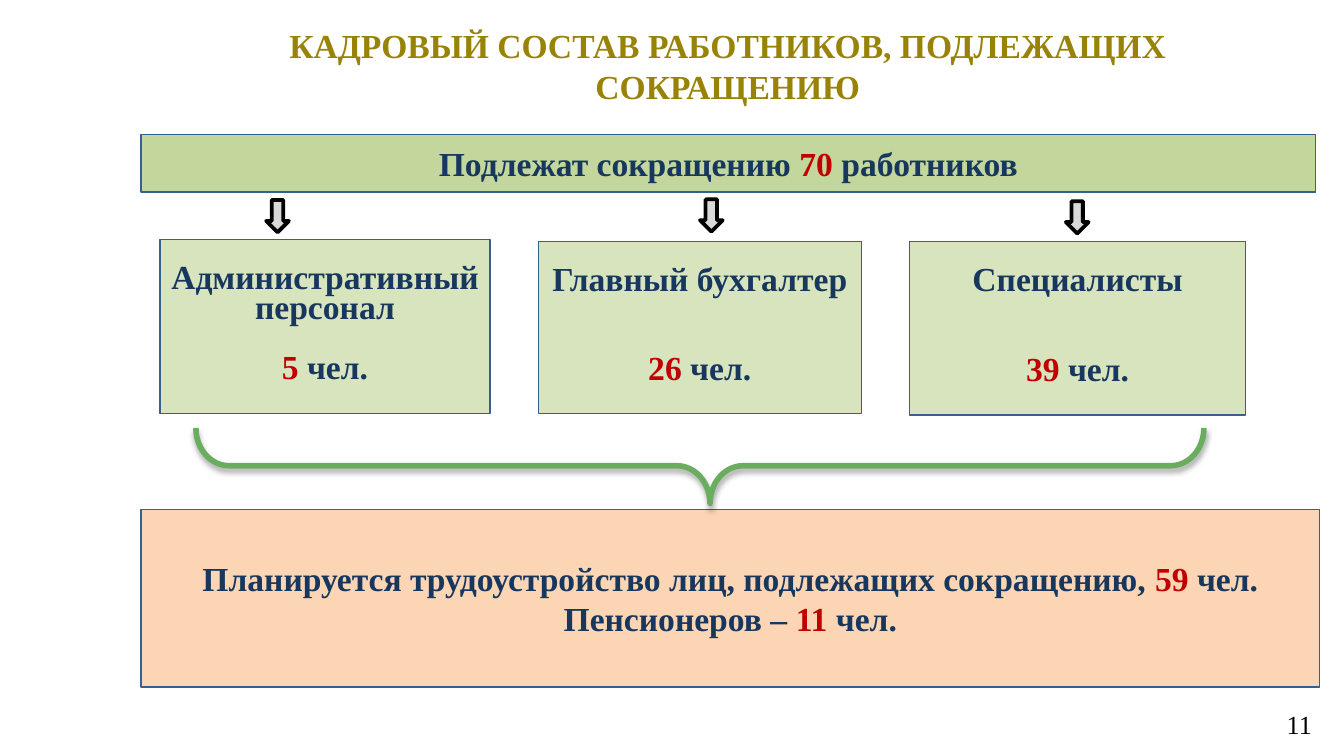
from pptx import Presentation
from pptx.dml.color import RGBColor
from pptx.enum.shapes import MSO_SHAPE
from pptx.enum.text import MSO_ANCHOR, PP_ALIGN
from pptx.oxml import parse_xml
from pptx.util import Pt

RECTANGLE, ARROW, BRACE = MSO_SHAPE.RECTANGLE, MSO_SHAPE.DOWN_ARROW, MSO_SHAPE.LEFT_BRACE
MIDDLE, CENTER, RIGHT = MSO_ANCHOR.MIDDLE, PP_ALIGN.CENTER, PP_ALIGN.RIGHT
FONT = "Times New Roman"
COLORS = {
    "title": "998307", "text": "17375E", "number": "C00000", "border": "376092",
    "total": "C3D69B", "group": "D7E4BD", "plan": "FCD5B5",
    "arrow": "D9D9D9", "black": "000000", "brace": "6AAD5F",
}
SHADOW = """<a:effectLst xmlns:a="http://schemas.openxmlformats.org/drawingml/2006/main">
<a:outerShdw blurRad="40000" dist="23000" dir="5400000" rotWithShape="0">
<a:srgbClr val="000000"><a:alpha val="35000"/></a:srgbClr></a:outerShdw></a:effectLst>"""


def add_figure(kind, box, fill, line, width):
    """Add a preset shape; a fill of None leaves it hollow."""
    shape = slide.shapes.add_shape(kind, *map(Pt, box))
    shape.shadow.inherit = False
    if fill:
        shape.fill.solid()
        shape.fill.fore_color.rgb = RGBColor.from_string(COLORS[fill])
    else:
        shape.fill.background()
    shape.line.color.rgb = RGBColor.from_string(COLORS[line])
    shape.line.width = Pt(width)
    return shape


def write(shape, lines, color="text", size=18, bold=True, align=CENTER, spacing=None, gap=0):
    """Write one paragraph per line; the parts between bars are figures in red."""
    frame = shape.text_frame
    frame.word_wrap = True
    for index, line in enumerate(lines):
        paragraph = frame.paragraphs[0] if index == 0 else frame.add_paragraph()
        paragraph.alignment = align
        paragraph.font.name = FONT
        paragraph.font.size = Pt(size)
        paragraph.font.bold = bold
        if spacing:
            paragraph.line_spacing = Pt(spacing)
        if index:
            paragraph.space_before = Pt(gap)
        for position, part in enumerate(line.split("|")):
            if part:
                run = paragraph.add_run()
                run.text = part
                run_color = "number" if position % 2 else color
                run.font.color.rgb = RGBColor.from_string(COLORS[run_color])


presentation = Presentation()
presentation.slide_width, presentation.slide_height = Pt(720), Pt(405)
slide = presentation.slides.add_slide(presentation.slide_layouts[6])

title = slide.shapes.add_textbox(Pt(85.7), Pt(10.1), Pt(608.4), Pt(39))
write(title, ["КАДРОВЫЙ СОСТАВ РАБОТНИКОВ, ПОДЛЕЖАЩИХ СОКРАЩЕНИЮ"], "title")

# Box, fill, lines, exact line spacing, gap between paragraphs
panels = [
    ((75.6, 72, 629.3, 31), "total", ["Подлежат сокращению |70| работников"], None, 0),
    ((85.8, 128.2, 176.7, 93.4), "group",
     ["Административный персонал", "|5| чел."], 16, 16),
    ((288.4, 129.4, 173, 92.2), "group", ["Главный бухгалтер", "|26| чел."], 16, 32),
    ((487.2, 129.4, 180.2, 93), "group", ["Специалисты", "|39| чел."], 16, 32),
    ((75.6, 272.9, 631.4, 95.2), "plan",
     ["Планируется трудоустройство лиц, подлежащих сокращению, |59| чел.",
      "Пенсионеров – |11| чел."], None, 0),
]
for box, fill, lines, spacing, gap in panels:
    panel = add_figure(RECTANGLE, box, fill, "border", 0.75)
    frame = panel.text_frame
    frame.vertical_anchor = MIDDLE
    frame.margin_left = frame.margin_right = Pt(5)
    frame.margin_top = frame.margin_bottom = Pt(3)
    write(panel, lines, spacing=spacing, gap=gap)

for left, top in [(142.6, 107.2), (375, 106.8), (571, 107.8)]:
    add_figure(ARROW, (left, top, 12.2, 17.3), "arrow", "black", 2)

# Upright brace turned about its centre so that it points down
brace_width, brace_height = 40.3, 540
brace = add_figure(
    BRACE,
    (375 - brace_width / 2, 249.5 - brace_height / 2, brace_width, brace_height),
    None, "brace", 3)
brace.rotation = 270
brace.adjustments[0], brace.adjustments[1] = 0.44, 0.51
properties = brace.element.spPr
properties.replace(properties[-1], parse_xml(SHADOW))

page_number = slide.shapes.add_textbox(Pt(680.4), Pt(377.3), Pt(29.5), Pt(21.6))
page_number.text_frame.vertical_anchor = MIDDLE
write(page_number, ["11"], "black", size=14, bold=False, align=RIGHT)

presentation.save("out.pptx")
